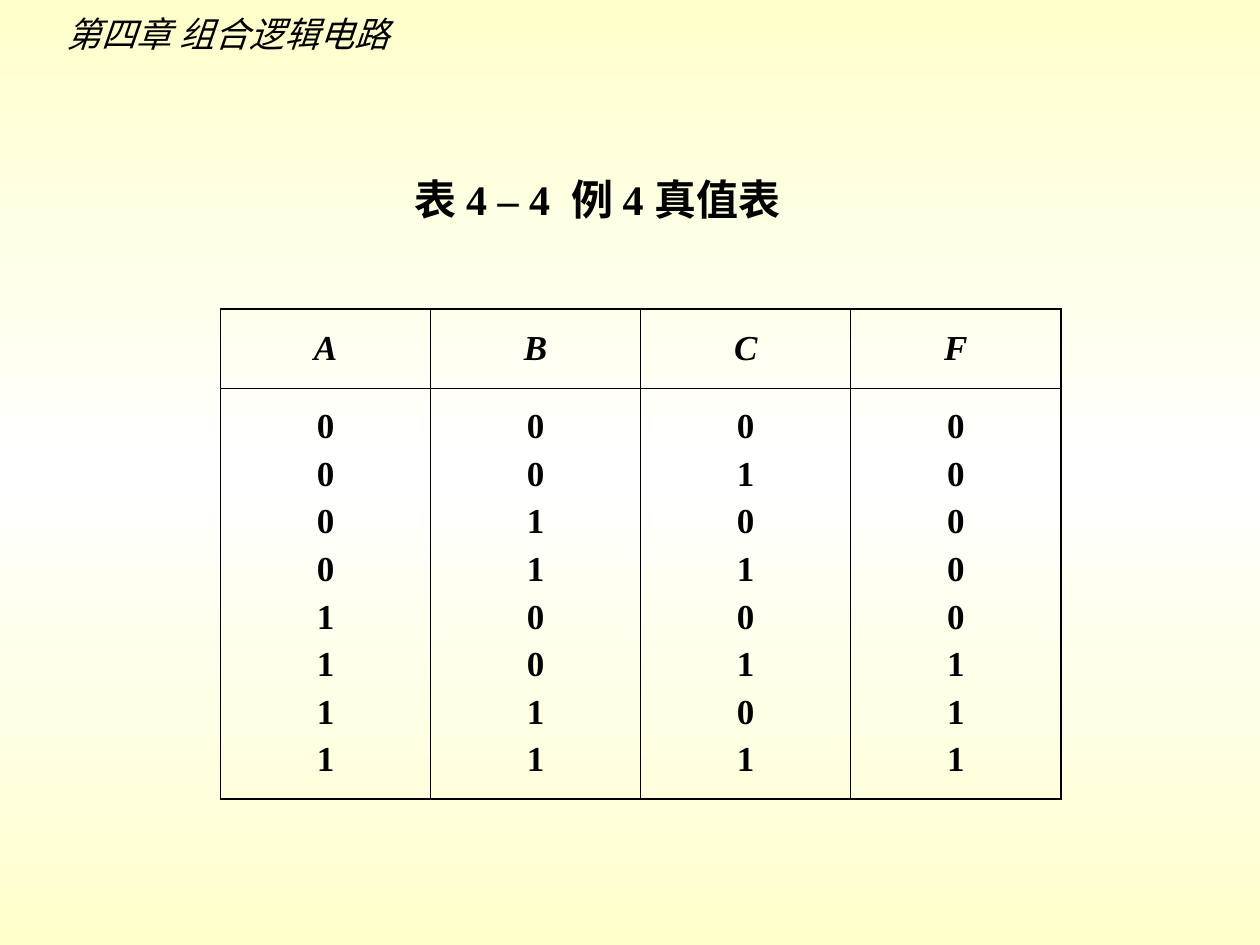
from copy import deepcopy
from itertools import product

from lxml import etree
from pptx import Presentation
from pptx.dml.color import RGBColor
from pptx.enum.text import MSO_ANCHOR, MSO_AUTO_SIZE, PP_ALIGN
from pptx.oxml.ns import qn
from pptx.util import Inches, Pt

LEFT, CENTER = PP_ALIGN.LEFT, PP_ALIGN.CENTER
TOP, MIDDLE = MSO_ANCHOR.TOP, MSO_ANCHOR.MIDDLE
FIT_SHAPE = MSO_AUTO_SIZE.SHAPE_TO_FIT_TEXT

COLORS = {"text": "000000", "edge": "FFFFCC", "middle": "FFFFFF"}
LATIN, CJK = "Times New Roman", "Noto Sans CJK SC"
THIN, THICK = Pt(0.45), Pt(1.08)


def rgb(name):
    return RGBColor.from_string(COLORS[name])


def set_background(s):
    """Vertical gradient, light in the middle."""
    fill = s.background.fill
    fill.gradient()
    fill.gradient_angle = 270
    stop_list = s.element.find(".//" + qn("a:gsLst"))
    stop_list.insert(1, deepcopy(stop_list[0]))
    stops = zip(fill.gradient_stops, ("edge", "middle", "edge"), (0, 0.5, 1))
    for stop, color, position in stops:
        stop.color.rgb = rgb(color)
        stop.position = position


def format_run(r, size, font=LATIN, bold=False, italic=False):
    r.font.size = Pt(size)
    r.font.name = font
    r.font.bold = bold
    r.font.italic = italic
    r.font.color.rgb = rgb("text")
    east_asian = etree.SubElement(r.font._element, qn("a:ea"))
    east_asian.set("typeface", CJK)


def set_line(sp, box, text, size, **style):
    """Place a shape and give it one unwrapped line of text."""
    sp.left, sp.top, sp.width, sp.height = [Inches(v) for v in box]
    tf = sp.text_frame
    tf.text = text
    tf.word_wrap = False
    tf.auto_size = FIT_SHAPE
    tf.vertical_anchor = TOP
    p = tf.paragraphs[0]
    p.alignment = LEFT
    format_run(p.runs[0], size, **style)


def set_borders(cell, widths):
    """Draw the left, right, top and bottom borders, in that order."""
    tc_pr = cell._tc.get_or_add_tcPr()
    for i, (side, width) in enumerate(zip("LRTB", widths)):
        ln = etree.Element(qn("a:ln" + side), w=str(width))
        fill = etree.SubElement(ln, qn("a:solidFill"))
        etree.SubElement(fill, qn("a:srgbClr"), val=COLORS["text"])
        tc_pr.insert(i, ln)


def fill_cell(cell, lines, italic):
    cell.fill.background()
    cell.vertical_anchor = MIDDLE
    cell.text_frame.text = "\n".join(lines)
    for p in cell.text_frame.paragraphs:
        p.alignment = CENTER
        p.space_before = Pt(5)
        format_run(p.runs[0], 20, bold=True, italic=italic)


def add_truth_table(s):
    names = "ABCF"
    rows = [(a, b, c, a & (b | c)) for a, b, c in product((0, 1), repeat=3)]
    columns = [[str(v) for v in column] for column in zip(*rows)]
    last = len(names) - 1

    frame = s.shapes.add_table(2, len(names), Inches(1.75), Inches(2.45),
                               Inches(6.67), Inches(3.89))
    table = frame.table
    table.first_row = table.horz_banding = False
    table.rows[0].height, table.rows[1].height = Inches(0.63), Inches(3.26)
    for i, (name, values) in enumerate(zip(names, columns)):
        left = THICK if i == 0 else THIN
        right = THICK if i == last else THIN
        header, body = table.cell(0, i), table.cell(1, i)
        fill_cell(header, [name], italic=True)
        fill_cell(body, values, italic=False)
        set_borders(header, (left, right, THICK, THIN))
        set_borders(body, (left, right, THIN, THICK))


def main():
    prs = Presentation()
    prs.slide_width, prs.slide_height = Inches(10), Inches(7.5)
    s = prs.slides.add_slide(prs.slide_layouts[5])
    set_background(s)
    chapter = s.shapes.add_textbox(0, 0, 0, 0)
    set_line(chapter, (0.43, 0.05, 2.83, 0.44), "第四章 组合逻辑电路", 20,
             font=CJK, italic=True)
    set_line(s.shapes.title, (3.19, 1.33, 3.49, 0.5),
             "表 4 – 4  例 4 真值表", 24, bold=True)
    add_truth_table(s)
    prs.save("out.pptx")


if __name__ == "__main__":
    main()
